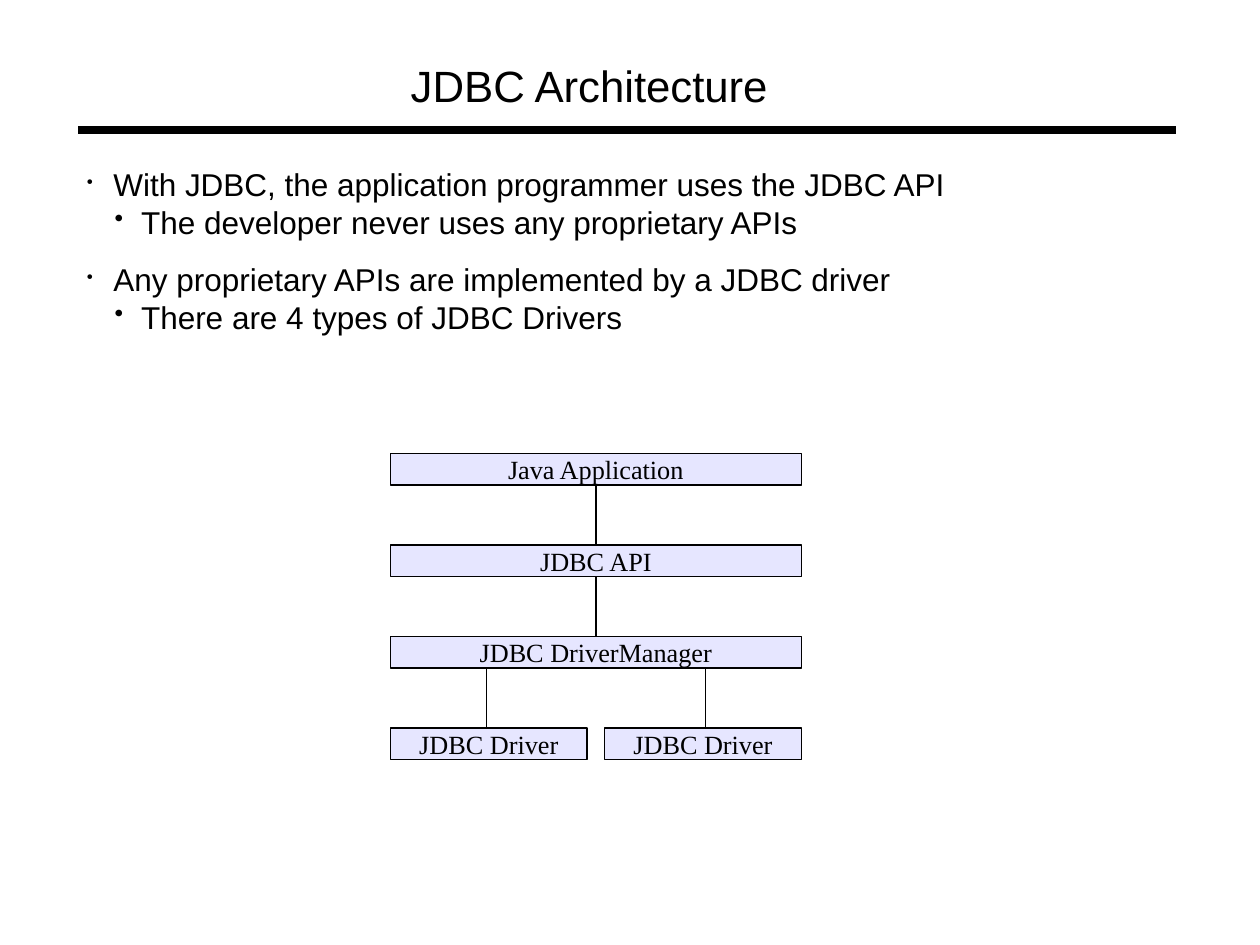
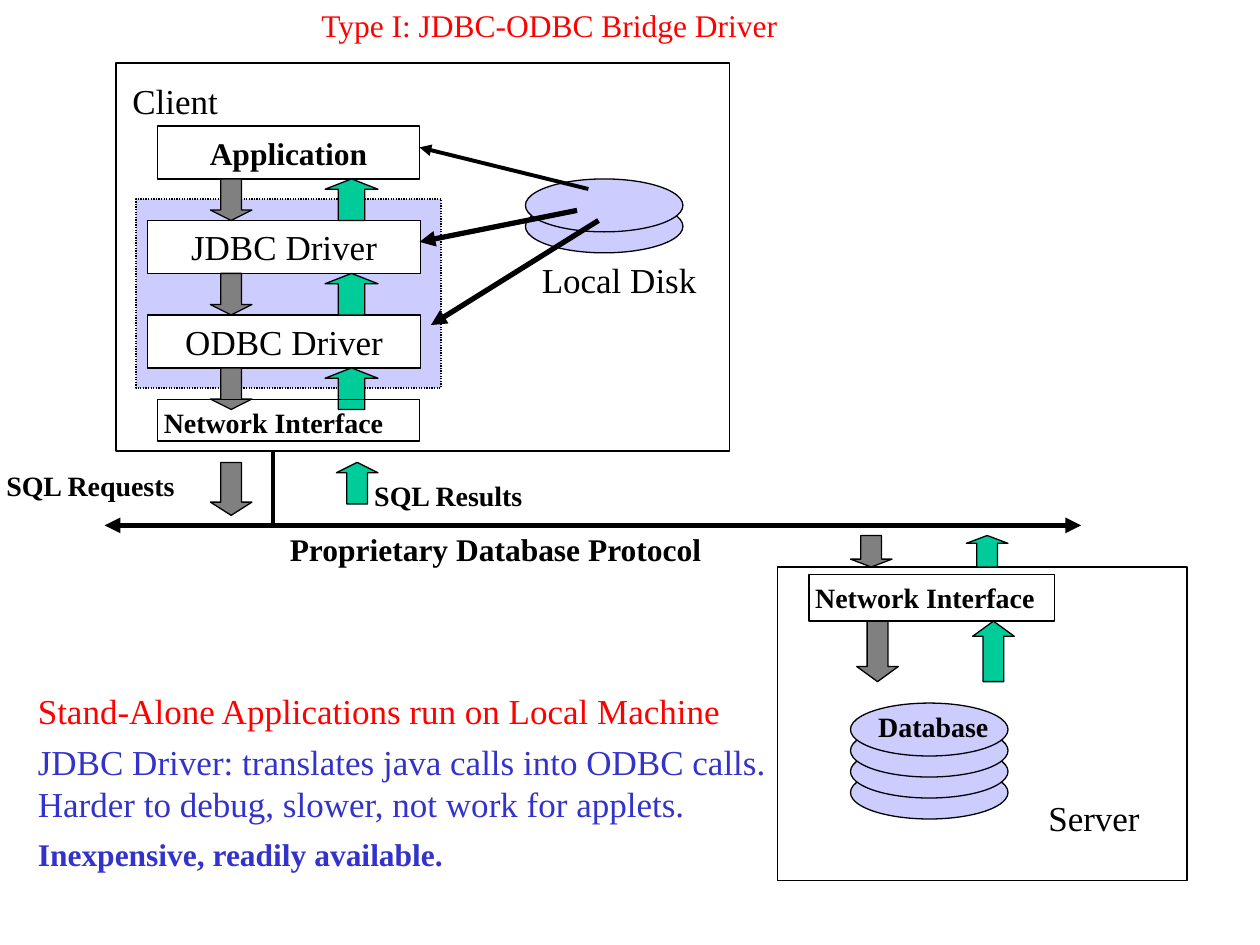
from lxml import etree
from pptx import Presentation
from pptx import util as u
from pptx.dml.color import RGBColor
from pptx.enum import dml, shapes, text
from pptx.oxml.ns import qn

SANS, SERIF = "Arial", "Times New Roman"
BLACK, WHITE, RED, BLUE = "000000", "FFFFFF", "FF0000", "3333CC"
LAVENDER, PALE_LAVENDER = "CCCCFF", "E6E6FF"
REQUEST_GRAY, RESULT_GREEN = "808080", "00CC99"
TITLE_ONLY = 5
PAD = 0.05
LEFT, CENTER = text.PP_ALIGN.LEFT, text.PP_ALIGN.CENTER
TOP, MIDDLE = text.MSO_ANCHOR.TOP, text.MSO_ANCHOR.MIDDLE
RECT, OVAL = shapes.MSO_SHAPE.RECTANGLE, shapes.MSO_SHAPE.OVAL
DOWN, UP = shapes.MSO_SHAPE.DOWN_ARROW, shapes.MSO_SHAPE.UP_ARROW


def color(hex_code):
    return RGBColor.from_string(hex_code)


def inches(*lengths):
    return [u.Inches(length) for length in lengths]


# Text
def set_frame(frame, pad=PAD, anchor=TOP):
    frame.word_wrap = True
    frame.auto_size = text.MSO_AUTO_SIZE.NONE
    frame.vertical_anchor = anchor
    frame.margin_left = frame.margin_right = u.Inches(pad)
    frame.margin_top = frame.margin_bottom = u.Inches(pad)


def set_text(paragraph, words, size, font=SERIF, ink=BLACK, bold=False, align=LEFT):
    paragraph.text = words
    paragraph.alignment = align
    paragraph.font.name = font
    paragraph.font.size = u.Pt(size)
    paragraph.font.bold = bold
    paragraph.font.color.rgb = color(ink)


def add_title(slide, words, box, size, pad, **style):
    title = slide.shapes.title
    title.left, title.top, title.width, title.height = inches(*box)
    set_frame(title.text_frame, pad)
    set_text(title.text_frame.paragraphs[0], words, size, **style)


def add_label(slide, words, box, size, **style):
    frame = slide.shapes.add_textbox(*inches(*box)).text_frame
    set_frame(frame)
    set_text(frame.paragraphs[0], words, size, **style)
    return frame


def add_bullets(slide, items, box):
    """Each item is (level, words); a new main point gets space above it."""
    frame = slide.shapes.add_textbox(*inches(*box)).text_frame
    set_frame(frame, pad=0)
    for i, (level, words) in enumerate(items):
        paragraph = frame.paragraphs[0] if i == 0 else frame.add_paragraph()
        paragraph.level = level
        if i and level == 0:
            paragraph.space_before = u.Pt(11)
        props = paragraph._p.get_or_add_pPr()
        props.set("marL", str(u.Inches((0.21, 0.43)[level])))
        props.set("indent", str(u.Inches(-0.21)))
        etree.SubElement(props, qn("a:buSzPct")).set("val", ("57000", "81000")[level])
        etree.SubElement(props, qn("a:buChar")).set("char", "•")
        set_text(paragraph, words, 18, SANS)


# Shapes and lines
def add_figure(slide, kind, box, fill=None, dash=None):
    figure = slide.shapes.add_shape(kind, *inches(*box))
    figure.shadow.inherit = False
    if fill:
        figure.fill.solid()
        figure.fill.fore_color.rgb = color(fill)
    else:
        figure.fill.background()
    figure.line.color.rgb = color(BLACK)
    figure.line.width = u.Pt(0.75)
    if dash:
        figure.line.dash_style = dash
    return figure


def add_box(slide, words, box, size, fill=None, pad=PAD, anchor=MIDDLE, align=CENTER, bold=False):
    frame = add_figure(slide, RECT, box, fill).text_frame
    set_frame(frame, pad, anchor)
    set_text(frame.paragraphs[0], words, size, align=align, bold=bold)


def add_network_interface(slide, box):
    add_box(slide, "Network Interface", box, 16, anchor=TOP, align=LEFT, bold=True)


def add_flow_arrow(slide, kind, box):
    width, height = box[2:]
    arrow = add_figure(slide, kind, box, REQUEST_GRAY if kind == DOWN else RESULT_GREEN)
    arrow.adjustments[0] = 0.5
    arrow.adjustments[1] = 0.25 * height / min(width, height)


def add_disks(slide, left, top, count):
    """Stack of overlapping ellipses, drawn from the lowest up."""
    for i in reversed(range(count)):
        add_figure(slide, OVAL, (left, top + i / 6, 1.25, 0.42), LAVENDER)


def add_line(slide, start, end, weight=0.75, ends=()):
    line = slide.shapes.add_connector(
        shapes.MSO_CONNECTOR.STRAIGHT, *inches(*start, *end))
    line.line.color.rgb = color(BLACK)
    line.line.width = u.Pt(weight)
    props = line.element.spPr
    for end_tag in ends:
        etree.SubElement(props.find(qn("a:ln")), qn(end_tag)).set("type", "triangle")
    etree.SubElement(props, qn("a:effectLst"))


# Slides
def build_architecture(slide):
    add_title(slide, "JDBC Architecture", (3.26, 0.47, 5.18, 0.42), 25, pad=0, font=SANS)
    add_line(slide, (0.62, 1.03), (9.33, 1.03), 4.31)
    add_bullets(slide, [
        (0, "With JDBC, the application programmer uses the JDBC API"),
        (1, "The developer never uses any proprietary APIs"),
        (0, "Any proprietary APIs are implemented by a JDBC driver"),
        (1, "There are 4 types of JDBC Drivers"),
    ], (0.69, 1.31, 8.6, 1.38))

    # Layers, joined from the application down to the drivers
    left, top, pitch, width, height, driver_width = 3.1, 3.6, 0.726, 3.26, 0.25, 1.56
    driver_top = top + 3 * pitch
    add_line(slide, (4.73, top + height), (4.73, top + 2 * pitch))
    for x in (3.86, 5.6):
        add_line(slide, (x, driver_top - pitch + height), (x, driver_top))
    layers = [(words, left, top + i * pitch, width) for i, words in
              enumerate(("Java Application", "JDBC API", "JDBC DriverManager"))]
    layers += [("JDBC Driver", x, driver_top, driver_width)
               for x in (left, left + width - driver_width)]
    for words, x, y, layer_width in layers:
        add_box(slide, words, (x, y, layer_width, height), 15, PALE_LAVENDER, pad=0)


def build_bridge_driver(slide):
    add_title(slide, "Type I: JDBC-ODBC Bridge Driver", (2.5, 0, 5.05, 0.38), 18, PAD, ink=RED)

    # Client and server machines
    add_figure(slide, RECT, (1.08, 1.58, 2.42, 1.5), LAVENDER, dml.MSO_LINE.ROUND_DOT)
    add_figure(slide, RECT, (0.92, 0.5, 4.87, 3.08))
    add_figure(slide, RECT, (6.17, 4.5, 3.25, 2.49))
    add_label(slide, "Client", (1, 0.58, 1.17, 0.41), 20)
    add_label(slide, "Server", (8.27, 6.27, 0.9, 0.41), 20)

    # Client software
    add_box(slide, "Application", (1.25, 1, 2.08, 0.42), 18, WHITE, bold=True)
    add_box(slide, "JDBC Driver", (1.17, 1.75, 2.17, 0.42), 20, WHITE)
    add_box(slide, "ODBC Driver", (1.17, 2.5, 2.17, 0.42), 20, WHITE)

    # Requests go down, results come up
    for step in range(3):
        y = 1.42 + 0.75 * step
        add_flow_arrow(slide, DOWN, (1.67, y, 0.33, 0.33))
        add_flow_arrow(slide, UP, (2.58, y, 0.42, 0.33))
    add_flow_arrow(slide, DOWN, (1.67, 3.67, 0.33, 0.42))
    add_flow_arrow(slide, UP, (2.67, 3.67, 0.33, 0.33))
    for x, y, height in ((6.75, 4.25, 0.25), (6.8, 4.93, 0.48)):
        add_flow_arrow(slide, DOWN, (x, y, 0.33, height))
        add_flow_arrow(slide, UP, (x + 0.92, y, 0.33, height))
    add_network_interface(slide, (1.25, 3.17, 2.08, 0.33))
    add_network_interface(slide, (6.42, 4.56, 1.95, 0.37))

    # Network between the machines
    add_line(slide, (2.17, 3.58), (2.17, 4.17), 2.25)
    add_line(slide, (0.83, 4.17), (8.58, 4.17), 3, ("a:headEnd", "a:tailEnd"))
    add_label(slide, "SQL Requests", (0, 3.67, 1.5, 0.34), 16, bold=True)
    add_label(slide, "SQL Results", (2.92, 3.75, 1.35, 0.34), 16, bold=True)
    add_label(slide, "Proprietary Database Protocol", (2.25, 4.16, 3.45, 0.38), 18, bold=True)

    # Storage
    add_disks(slide, 4.17, 1.42, 2)
    add_label(slide, "Local Disk", (4.25, 2, 1.4, 0.41), 20)
    for start, end, weight in (((4.75, 1.75), (3.42, 2.58), 3),
                               ((4.58, 1.67), (3.33, 1.92), 3),
                               ((4.67, 1.5), (3.33, 1.17), 2.25)):
        add_line(slide, start, end, weight, ("a:tailEnd",))
    add_disks(slide, 6.75, 5.58, 4)
    add_label(slide, "Database", (6.92, 5.58, 1.12, 0.34), 16, bold=True)

    # Remarks
    add_label(slide, "Stand-Alone Applications run on Local Machine",
              (0.25, 5.42, 5.62, 0.41), 20, ink=RED)
    remarks = add_label(slide, "JDBC Driver: translates java calls into ODBC calls.",
                        (0.25, 5.83, 6.79, 1.1), 20, ink=BLUE)
    set_text(remarks.add_paragraph(), "Harder to debug, slower, not work for applets.",
             20, ink=BLUE)
    verdict = remarks.add_paragraph()
    verdict.space_before = u.Pt(6)
    set_text(verdict, "Inexpensive, readily available.", 18, ink=BLUE, bold=True)


def main():
    deck = Presentation()
    deck.slide_width, deck.slide_height = inches(10, 7.5)
    for build in (build_architecture, build_bridge_driver):
        build(deck.slides.add_slide(deck.slide_layouts[TITLE_ONLY]))
    deck.save("out.pptx")


if __name__ == "__main__":
    main()
